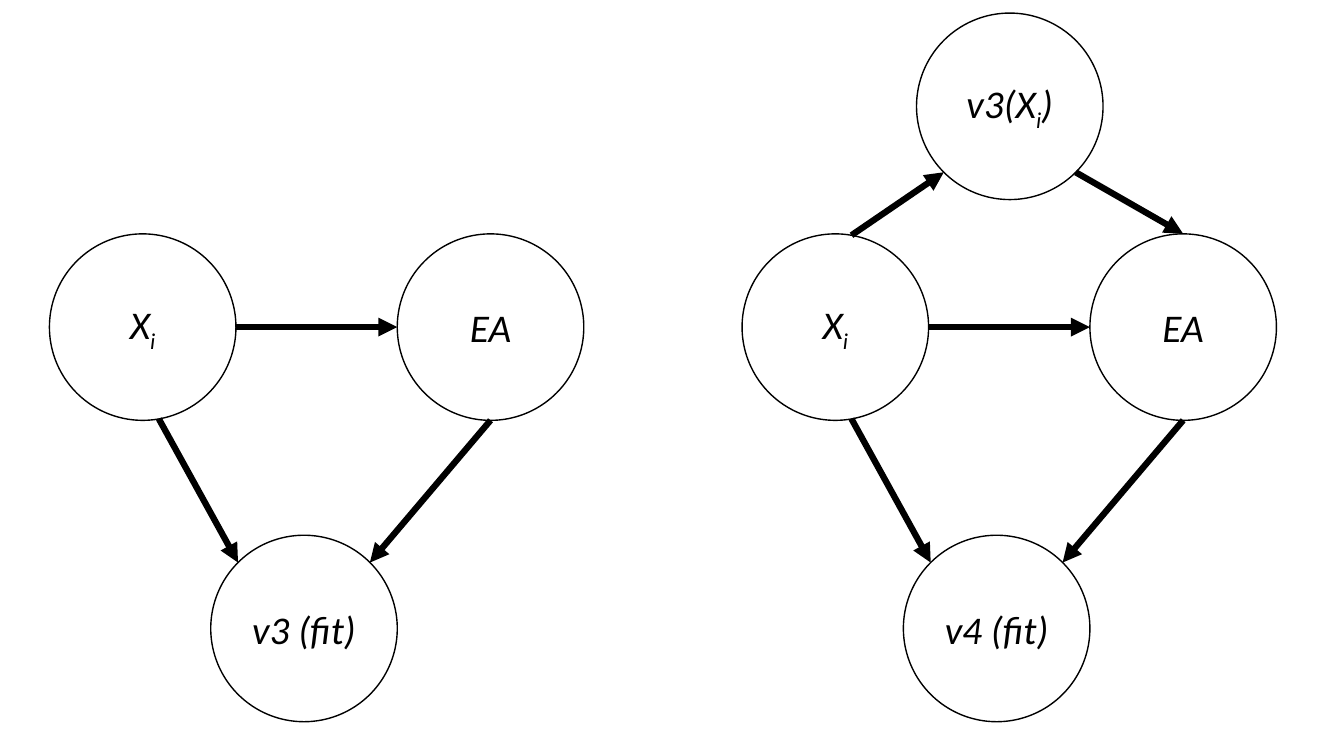
from math import cos, radians, sin

from lxml.etree import SubElement
from pptx import Presentation
from pptx.dml.color import RGBColor
from pptx.enum.shapes import MSO_CONNECTOR, MSO_SHAPE
from pptx.enum.text import MSO_ANCHOR, PP_ALIGN
from pptx.oxml.ns import qn
from pptx.util import Inches, Pt

BLACK = RGBColor(0, 0, 0)
THEME = {
    "ink": BLACK,
    "font": {"name": "Calibri", "size": Pt(28), "italic": True},
    "outline": Pt(1),
    "arrow": Pt(4.5),
    "subscript": "-25000",
}

# Node: (text, is subscript) runs. Arrow: start node, angle, end node, angle.
# Angles are in degrees, clockwise from the right of a circle.
X_I = [("X", False), ("i", True)]
BASE_ARROWS = [
    ("x", 0, "ea", 180),
    ("x", 80, "fit", 225),
    ("ea", 90, "fit", 315),
]
DIAGRAMS = [
    {
        "left": 0.49,
        "nodes": {"x": X_I, "ea": [("EA", False)], "fit": [("v3 (fit)", False)]},
        "arrows": BASE_ARROWS,
    },
    {
        "left": 7.36,
        "nodes": {
            "x": X_I,
            "ea": [("EA", False)],
            "fit": [("v4 (fit)", False)],
            "v3": [("v3(X", False), ("i", True), (")", False)],
        },
        "arrows": BASE_ARROWS + [("x", 280, "v3", 135), ("v3", 45, "ea", 270)],
    },
]

# Circle corners relative to the left edge of a diagram and the slide top
DIAMETER = 1.85
PLACES = {"x": (0, 2.32), "ea": (3.45, 2.32), "fit": (1.6, 5.31), "v3": (1.73, 0.13)}


def rim_point(left, node, angle):
    """Return the point on a node's circle at the given angle."""
    dx, top = PLACES[node]
    radius = DIAMETER / 2
    x = left + dx + radius * (1 + cos(radians(angle)))
    y = top + radius * (1 + sin(radians(angle)))
    return Inches(x), Inches(y)


def add_node(s, left, node, runs):
    """Draw a circle with its centred label."""
    dx, top = PLACES[node]
    sp = s.shapes.add_shape(MSO_SHAPE.OVAL, Inches(left + dx), Inches(top),
                            Inches(DIAMETER), Inches(DIAMETER))
    sp.shadow.inherit = False
    sp.fill.background()
    sp.line.color.rgb = THEME["ink"]
    sp.line.width = THEME["outline"]
    tf = sp.text_frame
    tf.vertical_anchor = MSO_ANCHOR.MIDDLE
    p = tf.paragraphs[0]
    p.alignment = PP_ALIGN.CENTER
    for text, is_subscript in runs:
        r = p.add_run()
        r.text = text
        for key, value in THEME["font"].items():
            setattr(r.font, key, value)
        r.font.color.rgb = THEME["ink"]
        if is_subscript:
            r._r.get_or_add_rPr().set("baseline", THEME["subscript"])


def add_arrow(s, left, start, start_angle, end, end_angle):
    """Draw a thick arrow between the rims of two nodes."""
    sp = s.shapes.add_connector(MSO_CONNECTOR.STRAIGHT,
                                *rim_point(left, start, start_angle),
                                *rim_point(left, end, end_angle))
    sp.line.color.rgb = THEME["ink"]
    sp.line.width = THEME["arrow"]
    SubElement(sp.line._get_or_add_ln(), qn("a:tailEnd"), type="triangle")
    SubElement(sp._element.spPr, qn("a:effectLst"))


def main():
    """Build and save the slide."""
    prs = Presentation()
    prs.slide_width, prs.slide_height = Inches(13.33), Inches(7.5)
    s = prs.slides.add_slide(prs.slide_layouts[6])
    for diagram in DIAGRAMS:
        for node, runs in diagram["nodes"].items():
            add_node(s, diagram["left"], node, runs)
        for arrow in diagram["arrows"]:
            add_arrow(s, diagram["left"], *arrow)
    prs.save("out.pptx")


main()
